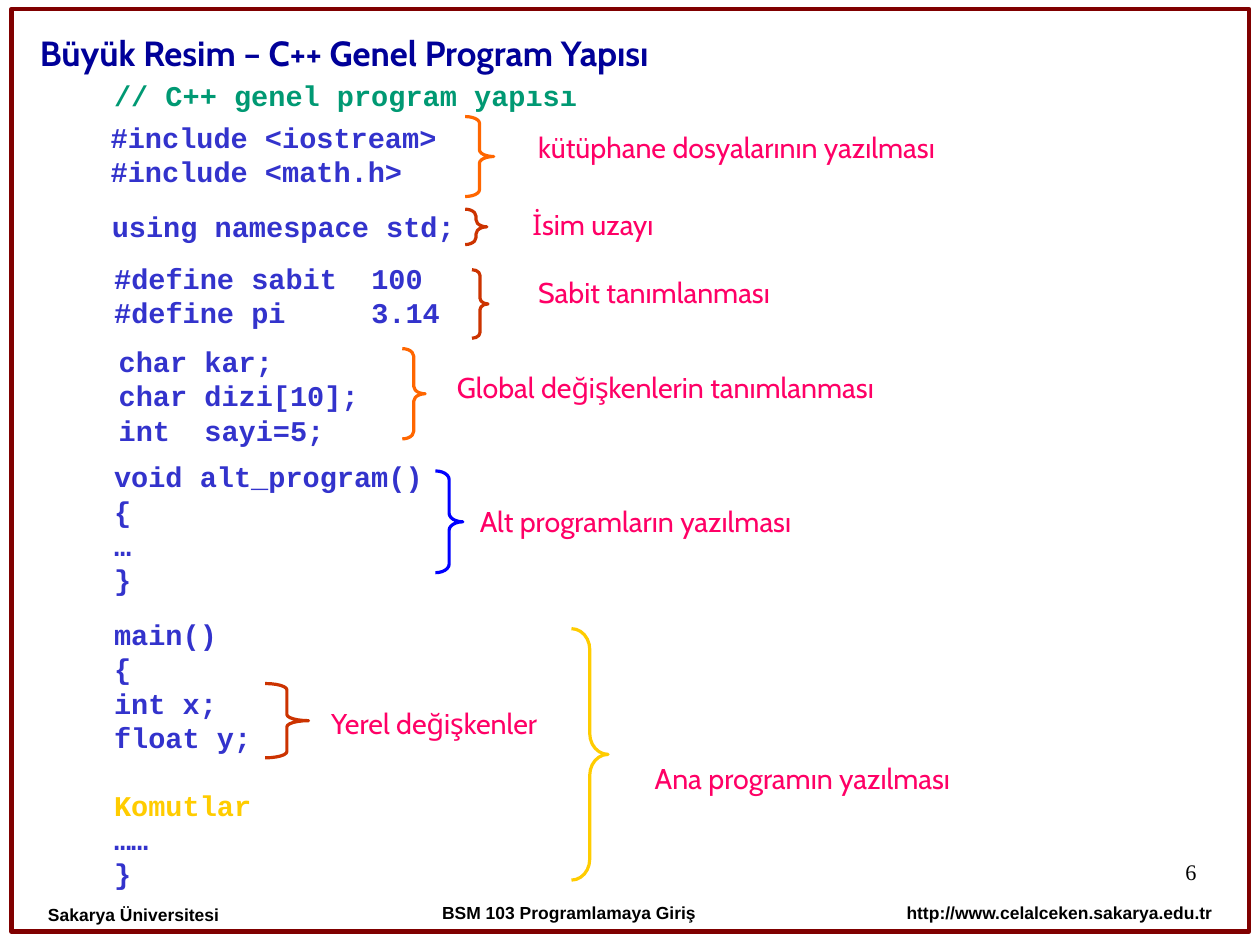
"""Slide showing the general structure of a C++ program."""
from dataclasses import dataclass

from pptx import Presentation
from pptx import util as u
from pptx.dml.color import RGBColor
from pptx.enum import shapes, text

PX = 9144
SLIDE_SIZE = {"slide_width": u.Emu(10080625), "slide_height": u.Emu(7559675)}

BLACK = RGBColor(0x00, 0x00, 0x00)
MAROON = RGBColor(0x80, 0x00, 0x00)
NAVY = RGBColor(0x00, 0x00, 0x99)
GREEN = RGBColor(0x00, 0x99, 0x73)
CODE_BLUE = RGBColor(0x33, 0x33, 0xCC)
PINK = RGBColor(0xFF, 0x00, 0x66)
ORANGE = RGBColor(0xFF, 0x66, 0x00)
RUST = RGBColor(0xCC, 0x33, 0x00)
BLUE = RGBColor(0x00, 0x00, 0xFF)
YELLOW = RGBColor(0xFF, 0xCC, 0x00)

LEFT, CENTER, RIGHT = text.PP_ALIGN.LEFT, text.PP_ALIGN.CENTER, text.PP_ALIGN.RIGHT


@dataclass(frozen=True)
class Style:
    font: dict
    color: RGBColor
    margins: tuple[int, int] = (10, 5)
    spacing: float = 1.0


@dataclass(frozen=True)
class Label:
    box: tuple[int, int, int, int]
    lines: tuple[str, ...]
    style: Style
    align: text.PP_ALIGN = LEFT


@dataclass(frozen=True)
class Brace:
    box: tuple[int, int, int, int]
    color: RGBColor
    curl: float = 1 / 12


CODE_FONT = {"name": "Courier New", "size": u.Pt(18), "bold": True}
FOOTER_FONT = {"name": "Arial", "size": u.Pt(11), "bold": True}
CODE = Style(CODE_FONT, CODE_BLUE)
COMMENT = Style(CODE_FONT, GREEN)
NOTE = Style({"name": "Cabin", "size": u.Pt(18)}, PINK)
TITLE = Style({"name": "Cabin", "size": u.Pt(22), "bold": True}, NAVY, spacing=1.04)
SCHOOL = Style(FOOTER_FONT, BLACK, (22, 18), 0.93)
FOOTER = Style(FOOTER_FONT, BLACK, (22, 18), 0.83)
NUMBER = Style({"name": "Times New Roman", "size": u.Pt(14)}, BLACK, (0, 0), 0.95)

COMMANDS = "Komutlar"

LABELS = (
    Label((790, 753, 257, 57), ("6",), NUMBER, RIGHT),
    Label((25, 21, 875, 66), ("Büyük Resim – C++ Genel Program Yapısı",), TITLE),
    Label((20, 784, 236, 42), ("Sakarya Üniversitesi",), SCHOOL),
    Label((311, 785, 374, 41), ("BSM 103 Programlamaya Giriş",), FOOTER, CENTER),
    Label((709, 785, 374, 41), ("http://www.celalceken.sakarya.edu.tr",), FOOTER, RIGHT),
    Label((90, 63, 443, 40), ("// C++ genel program yapısı",), COMMENT),
    Label((87, 100, 319, 70), ("#include <iostream>", "#include <math.h>"), CODE),
    Label((461, 109, 536, 40), ("kütüphane dosyalarının yazılması",), NOTE),
    Label((88, 178, 349, 40), ("using namespace std;",), CODE),
    Label((456, 176, 340, 40), ("İsim uzayı",), NOTE),
    Label((90, 223, 349, 70), ("#define sabit  100", "#define pi     3.14"), CODE),
    Label((461, 236, 340, 40), ("Sabit tanımlanması",), NOTE),
    Label((94, 296, 250, 130), ("char kar;", "char dizi[10];", "int  sayi=5;"), CODE),
    Label((390, 319, 402, 70), ("Global değişkenlerin tanımlanması",), NOTE),
    Label((90, 397, 300, 160), ("void alt_program()", "{", "…", "}"), CODE),
    Label((410, 436, 354, 40), ("Alt programların yazılması",), NOTE),
    Label((90, 535, 300, 280),
          ("main()", "{", "int x;", "float y;", COMMANDS, "……", "}"), CODE),
    Label((280, 613, 217, 70), ("Yerel değişkenler",), NOTE),
    Label((563, 661, 354, 40), ("Ana programın yazılması",), NOTE),
)

BRACES = (
    Brace((407, 102, 25, 70), ORANGE),
    Brace((407, 183, 19, 31), RUST, 0.2),
    Brace((413, 236, 14, 60), RUST),
    Brace((352, 305, 20, 79), ORANGE),
    Brace((381, 412, 24, 89), BLUE),
    Brace((232, 598, 38, 65), RUST),
    Brace((500, 550, 32, 220), YELLOW),
)


def emu(box: tuple[int, ...]) -> list[int]:
    return [n * PX for n in box]


def apply(target: object, values: dict) -> None:
    for name, value in values.items():
        setattr(target, name, value)


def add_outline(slide, kind: shapes.MSO_SHAPE, box: tuple[int, int, int, int],
                color: RGBColor, width: float):
    sp = slide.shapes.add_shape(kind, *emu(box))
    sp.shadow.inherit = False
    sp.fill.background()
    sp.line.color.rgb = color
    sp.line.width = u.Pt(width)
    return sp


def add_brace(slide, brace: Brace) -> None:
    sp = add_outline(slide, shapes.MSO_SHAPE.RIGHT_BRACE, brace.box, brace.color, 2)
    width, height = brace.box[2:]
    sp.adjustments[0] = height * brace.curl / width


def add_label(slide, label: Label) -> None:
    style = label.style
    side, top = emu(style.margins)
    tf = slide.shapes.add_textbox(*emu(label.box)).text_frame
    apply(tf, {"word_wrap": True, "margin_left": side, "margin_right": side,
               "margin_top": top, "margin_bottom": top})
    for i, line in enumerate(label.lines):
        p = tf.add_paragraph() if i else tf.paragraphs[0]
        apply(p, {"alignment": label.align, "line_spacing": style.spacing})
        r = p.add_run()
        r.text = line
        apply(r.font, style.font)
        r.font.color.rgb = style.color
        if line == COMMANDS:
            p.space_before = u.Pt(21)
            r.font.color.rgb = YELLOW


def main() -> None:
    prs = Presentation()
    apply(prs, SLIDE_SIZE)
    s = prs.slides.add_slide(prs.slide_layouts[6])
    add_outline(s, shapes.MSO_SHAPE.RECTANGLE, (10, 8, 1083, 807), MAROON, 2.83)
    for label in LABELS:
        add_label(s, label)
    for brace in BRACES:
        add_brace(s, brace)
    prs.save("out.pptx")


if __name__ == "__main__":
    main()
